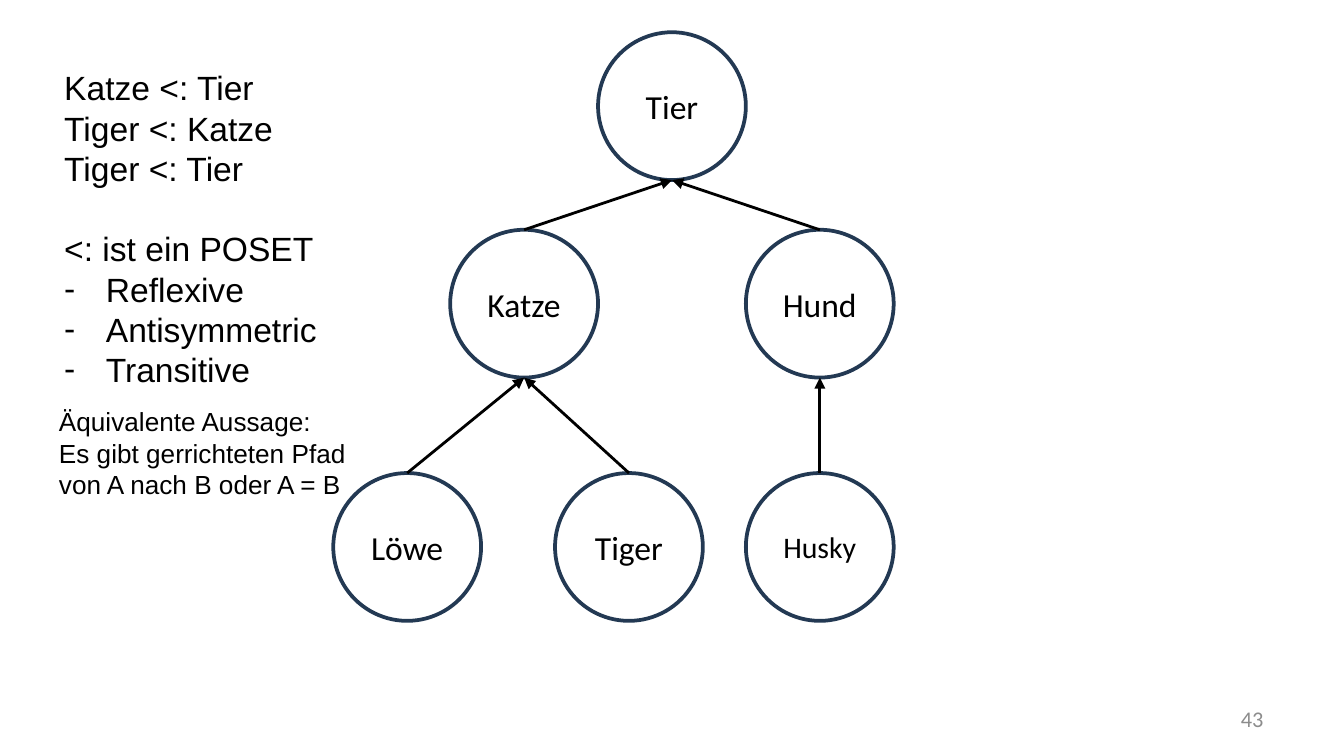
from dataclasses import dataclass

from lxml import etree
from pptx import Presentation
from pptx.dml.color import RGBColor
from pptx.enum.shapes import MSO_CONNECTOR, MSO_SHAPE
from pptx.enum.text import MSO_ANCHOR, PP_ALIGN
from pptx.oxml.ns import qn
from pptx.util import Inches, Pt

CIRCLE = MSO_SHAPE.OVAL
STRAIGHT = MSO_CONNECTOR.STRAIGHT
MIDDLE = MSO_ANCHOR.MIDDLE
CENTER, RIGHT = PP_ALIGN.CENTER, PP_ALIGN.RIGHT

COLORS = {"paper": "FFFFFF", "outline": "233953", "ink": "000000", "number": "8C8C8C"}
DIAMETER = 1.1
ROWS = (0.24, 1.71, 3.52)  # tops of the tree levels
TOP_SITE = 0


@dataclass
class Node:
    name: str
    left: float
    level: int
    parent: str = ""
    size: int = 18


@dataclass
class Line:
    text: str
    bullet: bool = False
    gap_before: float = 0


NODES = [
    Node("Tier", 4.45, 0),
    Node("Katze", 3.35, 1, "Tier"),
    Node("Hund", 5.55, 1, "Tier"),
    Node("Löwe", 2.48, 2, "Katze"),
    Node("Tiger", 4.13, 2, "Katze"),
    Node("Husky", 5.55, 2, "Hund", 16),
]
RELATIONS = [
    Line("Katze <: Tier"),
    Line("Tiger <: Katze"),
    Line("Tiger <: Tier"),
    Line("<: ist ein POSET", gap_before=21.5),
    Line("Reflexive", bullet=True),
    Line("Antisymmetric", bullet=True),
    Line("Transitive", bullet=True),
]
STATEMENT = [
    Line("Äquivalente Aussage:"),
    Line("Es gibt gerrichteten Pfad"),
    Line("von A nach B oder A = B"),
]


def color(name: str) -> RGBColor:
    return RGBColor.from_string(COLORS[name])


def set_font(para, face: str, size: float, ink: str = "ink") -> None:
    para.font.name = face
    para.font.size = Pt(size)
    para.font.color.rgb = color(ink)


def add_dash(para) -> None:
    props = para._p.get_or_add_pPr()
    props.set("marL", str(Inches(0.31)))
    props.set("indent", str(-Inches(0.31)))
    tint = etree.SubElement(props, qn("a:buClr"))
    etree.SubElement(tint, qn("a:srgbClr"), val=COLORS["ink"])
    etree.SubElement(props, qn("a:buFont"), typeface="Arial")
    etree.SubElement(props, qn("a:buChar"), char="-")


def draw_node(page, node: Node):
    circle = page.shapes.add_shape(CIRCLE, Inches(node.left), Inches(ROWS[node.level]),
                                   Inches(DIAMETER), Inches(DIAMETER))
    circle.shadow.inherit = False
    circle.fill.solid()
    circle.fill.fore_color.rgb = color("paper")
    circle.line.color.rgb = color("outline")
    circle.line.width = Pt(2)
    frame = circle.text_frame
    frame.margin_left = frame.margin_right = 0
    frame.vertical_anchor = MIDDLE
    para = frame.paragraphs[0]
    para.text = node.name
    para.alignment = CENTER
    set_font(para, "Calibri", node.size)
    return circle


def draw_arrow(page, child, parent) -> None:
    """Run from the top of the child to the bottom of the parent."""
    arrow = page.shapes.add_connector(STRAIGHT, child.left + child.width // 2, child.top,
                                      parent.left + parent.width // 2,
                                      parent.top + parent.height)
    arrow.begin_connect(child, TOP_SITE)
    arrow.line.color.rgb = color("ink")
    arrow.line.width = Pt(1.5)
    etree.SubElement(arrow.line._get_or_add_ln(), qn("a:tailEnd"), type="triangle")
    etree.SubElement(arrow._element.spPr, qn("a:effectLst"))


def draw_text(page, lines: list[Line], left: float, top: float,
              width: float, height: float, size: float) -> None:
    box = page.shapes.add_textbox(Inches(left), Inches(top), Inches(width), Inches(height))
    frame = box.text_frame
    frame.word_wrap = False
    for index, line in enumerate(lines):
        para = frame.add_paragraph() if index else frame.paragraphs[0]
        para.text = line.text
        if line.gap_before:
            para.space_before = Pt(line.gap_before)
        if line.bullet:
            add_dash(para)
        set_font(para, "Arial", size)


def draw_page_number(page, number: str) -> None:
    box = page.shapes.add_textbox(Inches(7.17), Inches(5.21), Inches(2.33), Inches(0.3))
    box.text_frame.word_wrap = True
    box.text_frame.vertical_anchor = MIDDLE
    para = box.text_frame.paragraphs[0]
    para.text = number
    para.alignment = RIGHT
    para.line_spacing = 0.9
    set_font(para, "Calibri", 12, "number")


def main() -> None:
    deck = Presentation()
    deck.slide_width = Inches(10)
    deck.slide_height = deck.slide_width * 9 // 16
    page = deck.slides.add_slide(deck.slide_layouts[6])
    draw_page_number(page, "43")

    # Type hierarchy
    circles = {node.name: draw_node(page, node) for node in NODES}
    for node in NODES:
        if node.parent:
            draw_arrow(page, circles[node.name], circles[node.parent])

    # Explanations
    draw_text(page, RELATIONS, 0.38, 0.45, 2.1, 2.52, 18)
    draw_text(page, STATEMENT, 0.34, 2.97, 2.35, 0.81, 14)
    deck.save("out.pptx")


if __name__ == "__main__":
    main()
